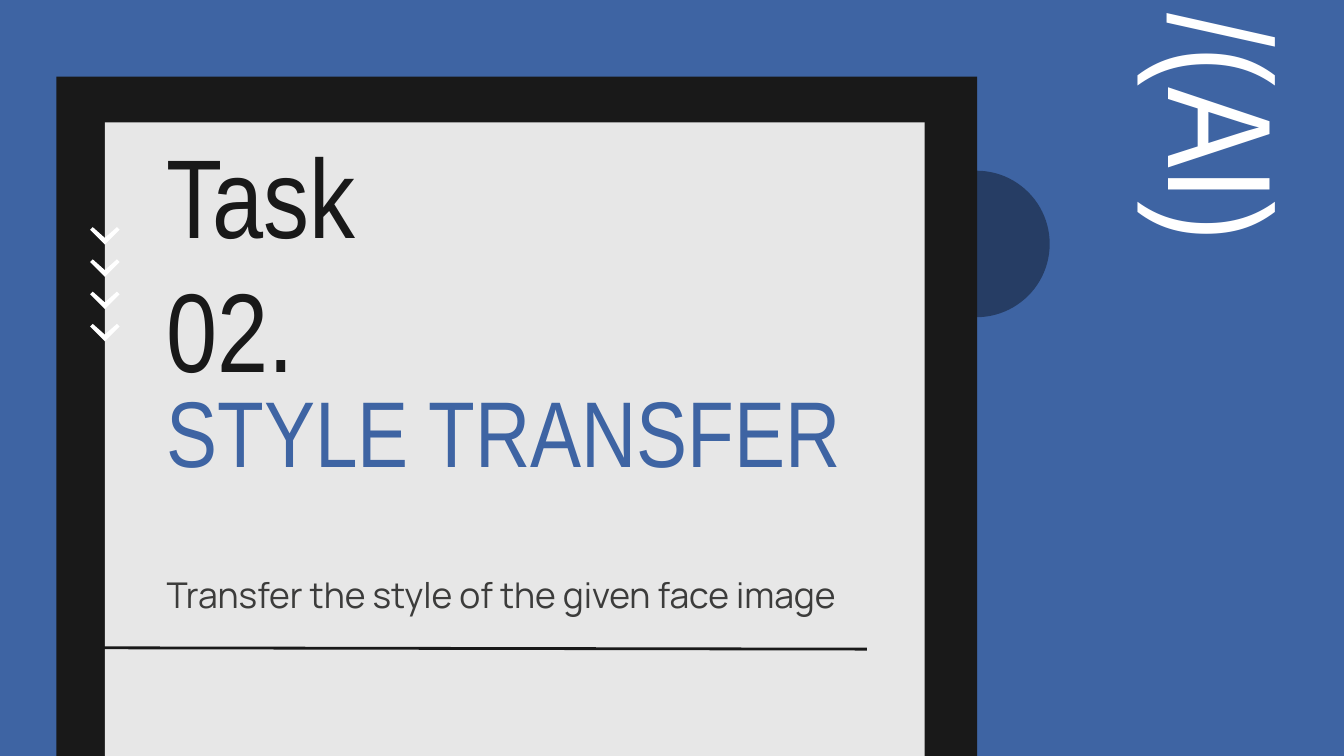
from lxml.etree import SubElement
from pptx import Presentation
from pptx.dml.color import RGBColor
from pptx.enum.shapes import MSO_CONNECTOR, MSO_SHAPE
from pptx.enum.text import MSO_ANCHOR, MSO_AUTO_SIZE, PP_ALIGN
from pptx.oxml.ns import qn
from pptx.util import Inches, Pt

COLORS = {
    "blue": "3E64A3",
    "black": "191919",
    "panel": "E7E7E7",
    "shade": "000000",
    "gray": "3C3C3B",
    "white": "FFFFFF",
}
HEADING_FONT = "Arial Narrow"
BODY_FONT = "Manrope"
TEXT_LEFT = 1.14


def rgb(name):
    return RGBColor.from_string(COLORS[name])


def paint(shape, color, opacity=None):
    """Give a shape a plain fill with no outline or shadow; opacity is in percent."""
    shape.shadow.inherit = False
    shape.fill.solid()
    shape.fill.fore_color.rgb = rgb(color)
    shape.line.fill.background()
    if opacity is not None:
        color_node = shape.element.spPr.find(qn("a:solidFill"))[0]
        SubElement(color_node, qn("a:alpha"), val=str(opacity * 1000))


def add_block(page, kind, left, top, width, height, color, opacity=None):
    block = page.shapes.add_shape(
        kind, Inches(left), Inches(top), Inches(width), Inches(height))
    paint(block, color, opacity)


def add_chevron(page, center, top):
    """Draw a downward arrowhead stroke whose outer tips start at the given top."""
    points = [(-0.11, 0.02), (0, 0.13), (0.11, 0.02),
              (0.09, 0), (0, 0.08), (-0.09, 0)]
    outline = [(Inches(center + x), Inches(top + y)) for x, y in points]
    builder = page.shapes.build_freeform(*outline[0])
    builder.add_line_segments(outline[1:], close=True)
    paint(builder.convert_to_shape(), "white")


def add_rule(page, start, end):
    rule = page.shapes.add_connector(
        MSO_CONNECTOR.STRAIGHT, *(Inches(value) for value in start + end))
    rule.line.color.rgb = rgb("black")
    rule.line.width = Pt(1.5)
    SubElement(rule.element.spPr, qn("a:effectLst"))


def place(box, left, top, width, height):
    box.left, box.top = Inches(left), Inches(top)
    box.width, box.height = Inches(width), Inches(height)


def write(box, text, size, font, color, anchor=MSO_ANCHOR.MIDDLE, spacing=1.0):
    frame = box.text_frame
    frame.text = text
    frame.word_wrap = True
    frame.auto_size = MSO_AUTO_SIZE.NONE
    frame.vertical_anchor = anchor
    frame.margin_left = frame.margin_right = Inches(0.1)
    frame.margin_top = frame.margin_bottom = Inches(0.1)
    para = frame.paragraphs[0]
    para.alignment = PP_ALIGN.LEFT
    para.line_spacing = spacing
    para.space_before = Pt(0)
    para.font.size = Pt(size)
    para.font.name = font
    para.font.color.rgb = rgb(color)


def bring_to_front(shape):
    shape.element.getparent().append(shape.element)


def add_text_box(page, left, top, width, height):
    return page.shapes.add_textbox(
        Inches(left), Inches(top), Inches(width), Inches(height))


def main():
    deck = Presentation()
    deck.slide_width = Inches(10)
    deck.slide_height = deck.slide_width * 9 // 16
    page = deck.slides.add_slide(deck.slide_layouts[0])
    page.background.fill.solid()
    page.background.fill.fore_color.rgb = rgb("blue")

    side_label = add_text_box(page, 8.15, 0.34, 1.93, 1.25)
    side_label.rotation = 90
    write(side_label, "/(AI)", 79, HEADING_FONT, "white", MSO_ANCHOR.TOP, 0.9)

    add_block(page, MSO_SHAPE.OVAL, 6.72, 1.27, 1.09, 1.09, "shade", 38)
    add_block(page, MSO_SHAPE.RECTANGLE, 0.42, 0.57, 6.85, 5.06, "black")
    add_block(page, MSO_SHAPE.RECTANGLE, 0.78, 0.91, 6.1, 4.72, "panel")

    title, subtitle = page.placeholders
    place(title, TEXT_LEFT, 2.4, 5.58, 1.6)
    write(title, "STYLE TRANSFER", 50, HEADING_FONT, "blue")
    bring_to_front(title)

    task_number = add_text_box(page, TEXT_LEFT, 1.48, 2.65, 0.92)
    write(task_number, "Task 02.", 60, HEADING_FONT, "black")

    place(subtitle, TEXT_LEFT, 4.03, 5.58, 0.78)
    write(subtitle, "Transfer the style of the given face image",
          19, BODY_FONT, "gray")
    bring_to_front(subtitle)

    for row in range(4):
        add_chevron(page, 0.78, 1.69 + 0.24 * row)
    add_rule(page, (0.5, 4.82), (6.45, 4.83))

    deck.save("out.pptx")


if __name__ == "__main__":
    main()
